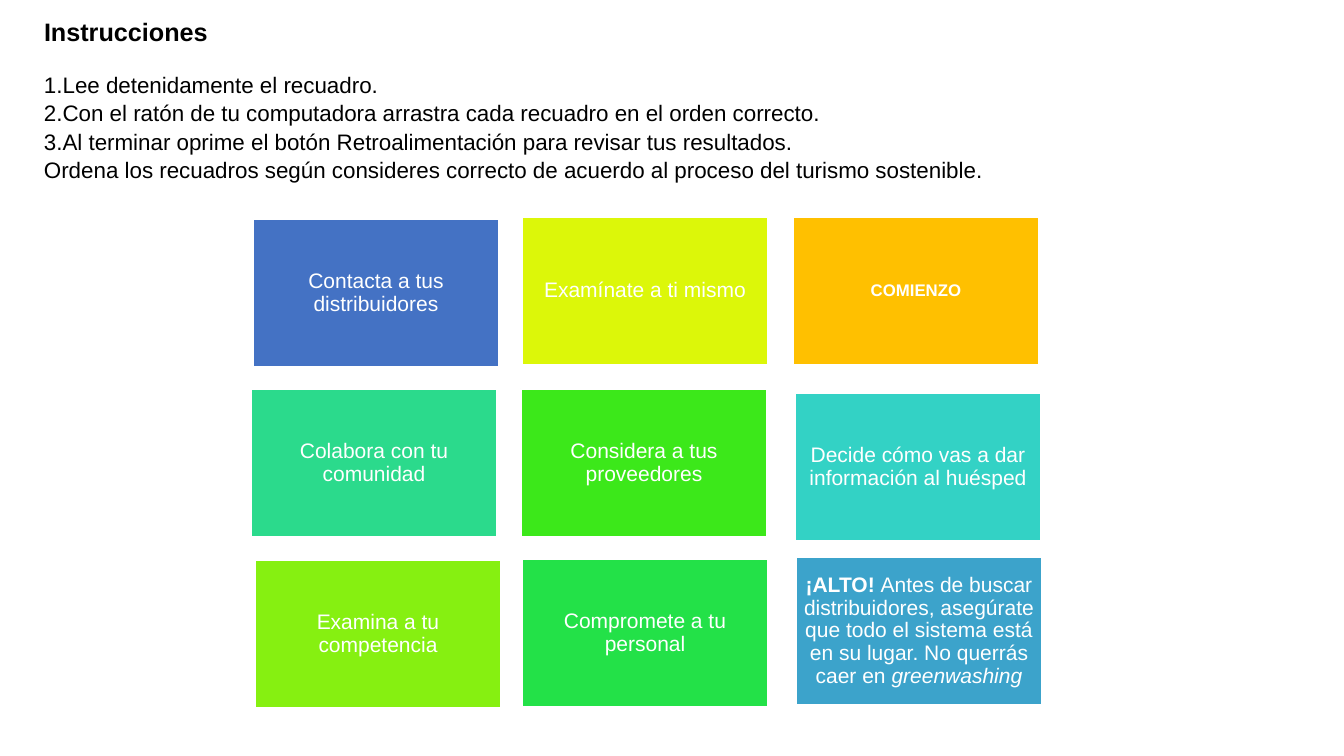
from lxml import etree
from pptx import Presentation
from pptx import util as u
from pptx.dml.color import RGBColor
from pptx.enum import shapes, text
from pptx.oxml.ns import qn

BLACK = RGBColor(0x00, 0x00, 0x00)
WHITE = RGBColor(0xFF, 0xFF, 0xFF)
BLUE = RGBColor(0x44, 0x72, 0xC4)
YELLOW = RGBColor(0xDC, 0xF7, 0x09)
AMBER = RGBColor(0xFF, 0xC0, 0x00)
MINT = RGBColor(0x2B, 0xDA, 0x8C)
GREEN = RGBColor(0x3C, 0xE8, 0x1A)
TURQUOISE = RGBColor(0x33, 0xD2, 0xC5)
LIME = RGBColor(0x86, 0xF0, 0x11)
EMERALD = RGBColor(0x23, 0xE1, 0x48)
SKY = RGBColor(0x3C, 0xA3, 0xCB)

CARD_SIZE = (246, 148)
STEPS = [
    "Lee detenidamente el recuadro.",
    "Con el ratón de tu computadora arrastra cada recuadro en el orden correcto.",
    "Al terminar oprime el botón Retroalimentación para revisar tus resultados.",
]
TASK = ("Ordena los recuadros según consideres correcto de acuerdo "
        "al proceso del turismo sostenible.")
WARNING = [
    ("¡ALTO! ", {"bold": True}),
    ("Antes de buscar distribuidores, asegúrate que todo el sistema está "
     "en su lugar. No querrás caer en ", {}),
    ("greenwashing", {"italic": True}),
]
CARDS = [
    (253, 219, BLUE, [("Contacta a tus distribuidores", {})]),
    (522, 217, YELLOW, [("Examínate a ti mismo", {})]),
    (793, 217, AMBER, [("COMIENZO", {"bold": True, "size": u.Pt(12)})]),
    (251, 389, MINT, [("Colabora con tu comunidad", {})]),
    (521, 389, GREEN, [("Considera a tus proveedores", {})]),
    (795, 393, TURQUOISE, [("Decide cómo vas a dar información al huésped", {})]),
    (255, 560, LIME, [("Examina a tu competencia", {})]),
    (522, 559, EMERALD, [("Compromete a tu personal", {})]),
    (796, 557, SKY, WARNING),
]


def px(count):
    return u.Emu(round(count * 914400 / 100.8))


def apply(target, values):
    for name, value in values.items():
        setattr(target, name, value)


class SlideBuilder:
    font = "Arial"

    def __init__(self, deck):
        self.page = deck.slides.add_slide(deck.slide_layouts[5])

    def frame(self, box, anchor, inset_x, inset_y):
        apply(box.text_frame, {
            "word_wrap": True, "auto_size": text.MSO_AUTO_SIZE.NONE,
            "vertical_anchor": anchor,
            "margin_left": px(inset_x), "margin_right": px(inset_x),
            "margin_top": px(inset_y), "margin_bottom": px(inset_y)})
        return box.text_frame

    def fill_para(self, para, spans, size, color, **layout):
        apply(para, layout)
        for words, extra in spans:
            span = para.add_run()
            span.text = words
            apply(span.font, {"name": self.font, "size": u.Pt(size), **extra})
            span.font.color.rgb = color

    def title(self, left, top, width, height, words):
        box = self.page.shapes.title
        apply(box, {"left": px(left), "top": px(top),
                    "width": px(width), "height": px(height)})
        frame = self.frame(box, text.MSO_ANCHOR.MIDDLE, 10, 0)
        self.fill_para(frame.paragraphs[0], [(words, {"bold": True})], 18, BLACK,
                       alignment=text.PP_ALIGN.LEFT)

    def instructions(self, left, top, width, height, steps, task):
        box = self.page.shapes.add_textbox(px(left), px(top), px(width), px(height))
        frame = self.frame(box, text.MSO_ANCHOR.TOP, 10, 0)
        for index, words in enumerate([*steps, task]):
            para = frame.add_paragraph() if index else frame.paragraphs[0]
            self.fill_para(para, [(words, {})], 16, BLACK, line_spacing=1.05)
            if index < len(steps):
                self.number(para)

    def number(self, para):
        props = para._p.get_or_add_pPr()
        props.set("marL", "0")
        props.set("indent", "0")
        etree.SubElement(props, qn("a:buFont"), typeface=self.font)
        etree.SubElement(props, qn("a:buAutoNum"), type="arabicPeriod")

    def card(self, left, top, color, spans):
        width, height = CARD_SIZE
        box = self.page.shapes.add_shape(
            shapes.MSO_SHAPE.RECTANGLE, px(left), px(top), px(width), px(height))
        box.shadow.inherit = False
        box.fill.solid()
        box.fill.fore_color.rgb = color
        box.line.color.rgb = WHITE
        box.line.width = u.Pt(1)
        frame = self.frame(box, text.MSO_ANCHOR.MIDDLE, 6, 6)
        self.fill_para(frame.paragraphs[0], spans, 15, WHITE,
                       alignment=text.PP_ALIGN.CENTER, line_spacing=0.9)


def main():
    deck = Presentation()
    deck.slide_width, deck.slide_height = px(1344), px(756)
    slide = SlideBuilder(deck)
    slide.title(34, 12, 971, 38, "Instrucciones")
    slide.instructions(34, 70, 971, 112, STEPS, TASK)
    for card in CARDS:
        slide.card(*card)
    deck.save("out.pptx")


if __name__ == "__main__":
    main()
